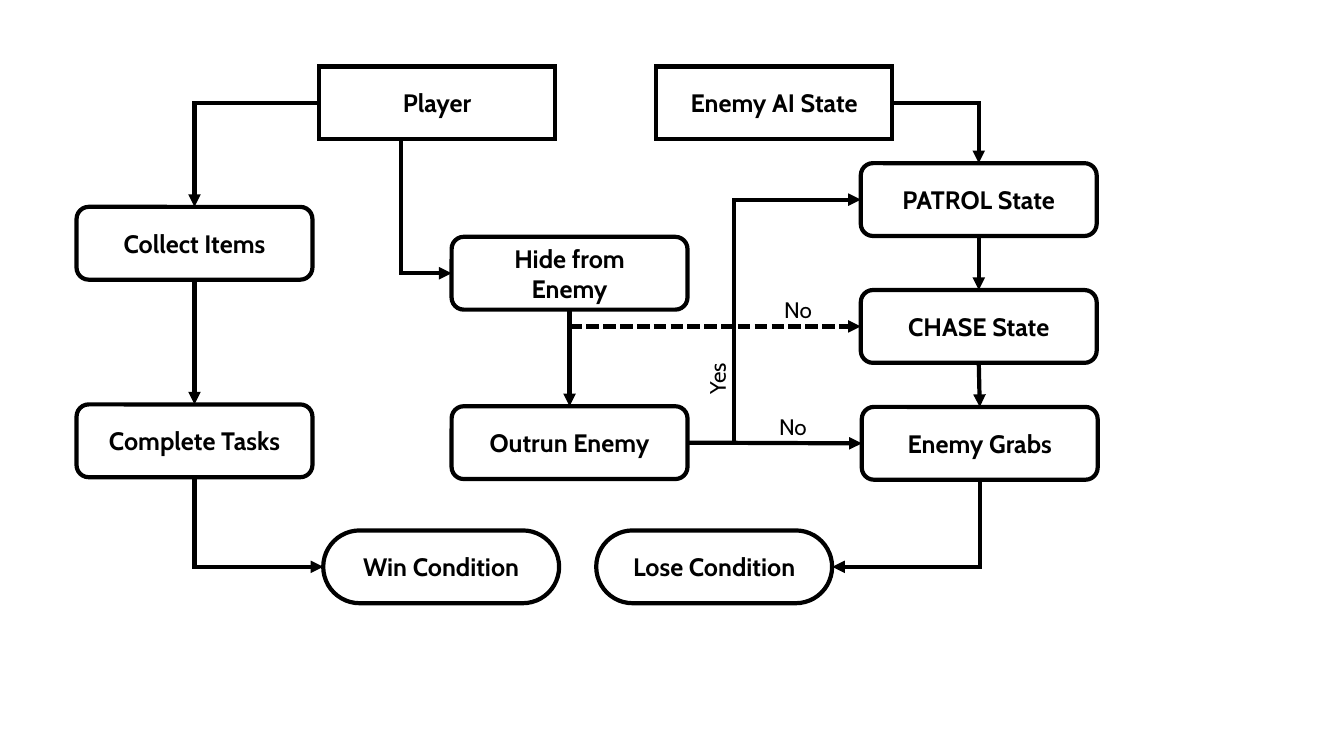
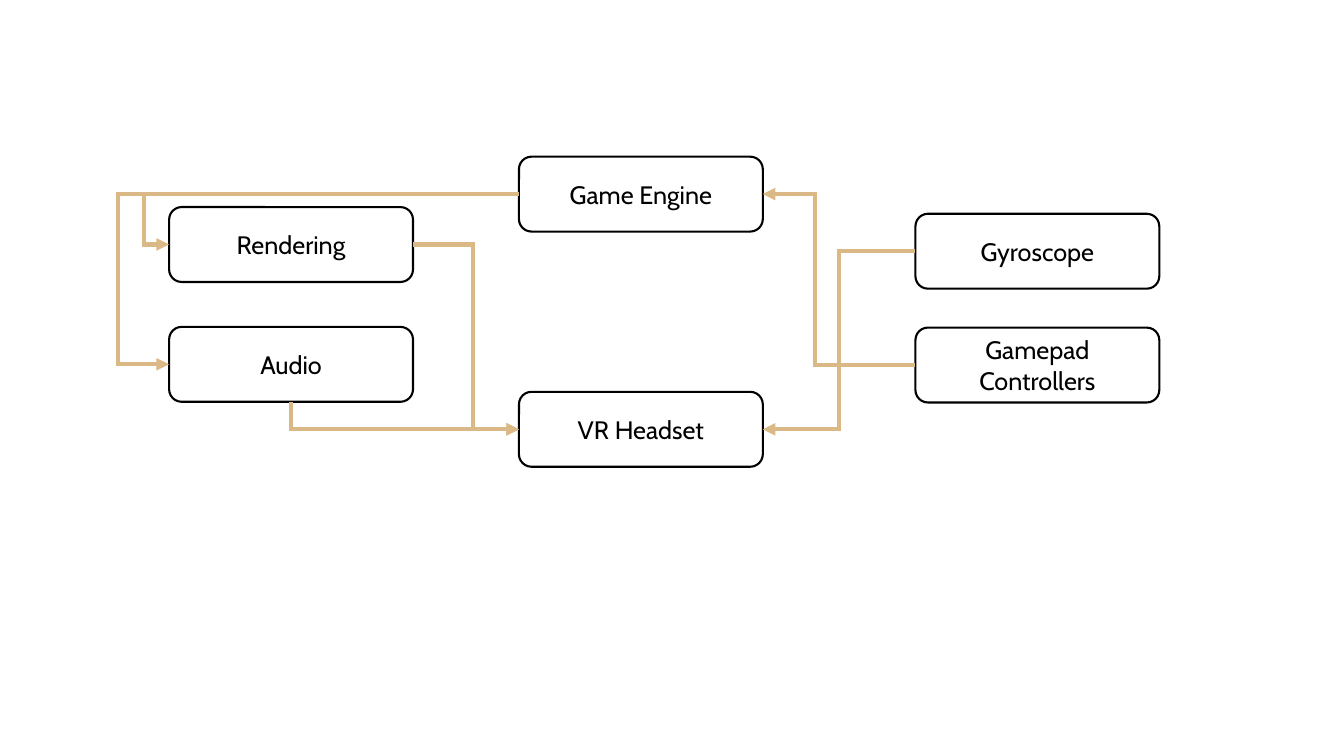
from dataclasses import dataclass

from lxml.etree import SubElement
from pptx import Presentation
from pptx.dml.color import RGBColor
from pptx.enum.dml import MSO_LINE
from pptx.enum.shapes import MSO_CONNECTOR, MSO_SHAPE
from pptx.enum.text import MSO_ANCHOR, MSO_AUTO_SIZE, PP_ALIGN
from pptx.oxml.ns import qn
from pptx.util import Pt

TOP, LEFT, BOTTOM, RIGHT = range(4)


@dataclass(frozen=True)
class Theme:
    """Colours, font, type sizes and line weights."""
    ink: RGBColor = RGBColor(0, 0, 0)
    paper: RGBColor = RGBColor(255, 255, 255)
    sand: RGBColor = RGBColor(0xDB, 0xB9, 0x86)
    font: str = "Cabin"
    box_size: float = 18
    label_size: float = 16
    heavy: float = 3
    thin: float = 1.5


T = Theme()


def put_text(tf, text, size=T.box_size, bold=False, align=PP_ALIGN.CENTER):
    """Write each line of text as a paragraph."""
    for i, line in enumerate(text.split("\n")):
        p = tf.add_paragraph() if i else tf.paragraphs[0]
        p.alignment = align
        r = p.add_run()
        r.text = line
        r.font.name, r.font.size, r.font.bold = T.font, Pt(size), bold
        r.font.color.rgb = T.ink


def outline(sp, color, width, dash=None):
    """Give a shape or connector a mitred line and return its XML."""
    sp.line.color.rgb = color
    sp.line.width = Pt(width)
    if dash is not None:
        sp.line.dash_style = dash
    ln = sp.element.spPr.find(qn("a:ln"))
    SubElement(ln, qn("a:miter"), lim="800000")
    return ln


def box(s, text, x, y, size, kind=MSO_SHAPE.ROUNDED_RECTANGLE, adj=None,
        weight=T.heavy, bold=True):
    """Add a flowchart box."""
    sp = s.shapes.add_shape(kind, Pt(x), Pt(y), *map(Pt, size))
    sp.shadow.inherit = False
    sp.fill.solid()
    sp.fill.fore_color.rgb = T.paper
    outline(sp, T.ink, weight)
    if adj is not None:
        sp.adjustments[0] = adj
    tf = sp.text_frame
    tf.word_wrap = True
    tf.vertical_anchor = MSO_ANCHOR.MIDDLE
    put_text(tf, text, bold=bold)
    return sp


def label(s, text, x, y, w, rotation=0):
    """Add a small caption beside an arrow."""
    sp = s.shapes.add_textbox(Pt(x), Pt(y), Pt(w), Pt(26.6))
    sp.rotation = rotation
    tf = sp.text_frame
    tf.word_wrap = False
    tf.auto_size = MSO_AUTO_SIZE.SHAPE_TO_FIT_TEXT
    put_text(tf, text, size=T.label_size, align=PP_ALIGN.LEFT)


def site(sp, side):
    """Return the middle of one side of a box."""
    x = {LEFT: 0, RIGHT: sp.width}.get(side, sp.width // 2)
    y = {TOP: 0, BOTTOM: sp.height}.get(side, sp.height // 2)
    return sp.left + x, sp.top + y


def link(s, kind, a, a_side, b, b_side, start_x=None, color=T.ink, dash=None):
    """Add an arrow from box to box and return it with its end points."""
    start, end = site(a, a_side), site(b, b_side)
    if start_x is not None:
        start = Pt(start_x), start[1]
    c = s.shapes.add_connector(kind, *start, *end)
    if start_x is None:
        c.begin_connect(a, a_side)
    c.end_connect(b, b_side)
    ln = outline(c, color, T.heavy, dash)
    SubElement(ln, qn("a:tailEnd"), type="triangle")
    SubElement(c.element.spPr, qn("a:effectLst"))
    return c, start, end


def arrow(s, a, a_side, b, b_side):
    """Add a straight arrow."""
    link(s, MSO_CONNECTOR.STRAIGHT, a, a_side, b, b_side)


def corner(s, a, a_side, b, b_side, **style):
    """Add an arrow with one right-angled turn."""
    c, (x1, y1), (x2, y2) = link(
        s, MSO_CONNECTOR.ELBOW, a, a_side, b, b_side, **style)
    c.element.spPr.find(qn("a:prstGeom")).set("prst", "bentConnector2")
    if a_side == BOTTOM:
        w, h = abs(y2 - y1), abs(x2 - x1)
        c.left, c.top = (x1 + x2 - w) // 2, (y1 + y2 - h) // 2
        c.width, c.height = w, h
        xfrm = c.element.spPr.find(qn("a:xfrm"))
        xfrm.set("rot", str((270 if x2 > x1 else 90) * 60000))
        xfrm.set("flipH", "1" if x2 > x1 else "0")


def step(s, a, a_side, b, b_side, via, **style):
    """Add an arrow with two turns whose upright part is at x = via."""
    c, (x1, _), (x2, _) = link(
        s, MSO_CONNECTOR.ELBOW, a, a_side, b, b_side, **style)
    ratio = round((Pt(via) - x1) / (x2 - x1) * 100000)
    geom = c.element.spPr.find(qn("a:prstGeom"))
    av = geom.find(qn("a:avLst"))
    if av is None:
        av = SubElement(geom, qn("a:avLst"))
    SubElement(av, qn("a:gd"), name="adj1", fmla=f"val {ratio}")


def game_flow(s):
    """Draw the player and enemy flowchart."""
    size = 168.5, 52
    tasks_x, hide_x, enemy_x = 54.7, 322.6, 614.9
    head = dict(size=size, kind=MSO_SHAPE.RECTANGLE)
    pill = dict(size=size, adj=0.5)
    player = box(s, "Player", 228, 47.5, **head)
    ai = box(s, "Enemy AI State", 468.7, 47.5, **head)
    collect = box(s, "Collect Items", tasks_x, 147.8, size)
    complete = box(s, "Complete Tasks", tasks_x, 288.9, size)
    hide = box(s, "Hide from\nEnemy", hide_x, 169.2, size)
    outrun = box(s, "Outrun Enemy", hide_x, 290.2, size)
    patrol = box(s, "PATROL State", enemy_x, 116.6, size)
    chase = box(s, "CHASE State", enemy_x, 207.2, size)
    grabs = box(s, "Enemy Grabs", 615.6, 290.7, size)
    win = box(s, "Win Condition", 230.9, 378.9, **pill)
    lose = box(s, "Lose Condition", 425.9, 378.9, **pill)

    for a, b in ((collect, complete), (hide, outrun),
                 (patrol, chase), (chase, grabs)):
        arrow(s, a, BOTTOM, b, TOP)
    arrow(s, outrun, RIGHT, grabs, LEFT)
    corner(s, ai, RIGHT, patrol, TOP)
    corner(s, player, LEFT, collect, TOP)
    corner(s, player, BOTTOM, hide, LEFT, start_x=286.5)
    corner(s, complete, BOTTOM, win, LEFT)
    corner(s, grabs, BOTTOM, lose, RIGHT)
    corner(s, hide, BOTTOM, chase, LEFT, dash=MSO_LINE.SQUARE_DOT)
    step(s, outrun, RIGHT, patrol, LEFT, via=524.3)

    label(s, "No", 549.4, 291.6, 34.6)
    label(s, "Yes", 493.2, 256.3, 38.2, rotation=270)
    label(s, "No", 553, 208.1, 34.6)


def system_map(s):
    """Draw the game engine and headset map."""
    style = dict(size=(174.2, 53.5), weight=T.thin, bold=False)
    output_x, core_x, input_x = 120.8, 370.7, 653.9
    headset = box(s, "VR Headset", core_x, 279.9, **style)
    engine = box(s, "Game Engine", core_x, 111.9, **style)
    gamepad = box(s, "Gamepad Controllers", input_x, 234, **style)
    gyro = box(s, "Gyroscope", input_x, 152.7, **style)
    audio = box(s, "Audio", output_x, 233.5, **style)
    rendering = box(s, "Rendering", output_x, 147.9, **style)

    for a, a_side, b, b_side, via in (
            (engine, LEFT, rendering, LEFT, 102.8),
            (engine, LEFT, audio, LEFT, 84.6),
            (rendering, RIGHT, headset, LEFT, 338),
            (gyro, LEFT, headset, RIGHT, 599.4),
            (gamepad, LEFT, engine, RIGHT, 582.3)):
        step(s, a, a_side, b, b_side, via, color=T.sand)
    corner(s, audio, BOTTOM, headset, LEFT, color=T.sand)


def main():
    """Build and save the presentation."""
    prs = Presentation()
    prs.slide_width, prs.slide_height = Pt(960), Pt(540)
    for draw in (game_flow, system_map):
        draw(prs.slides.add_slide(prs.slide_layouts[6]))
    prs.save("out.pptx")


if __name__ == "__main__":
    main()
